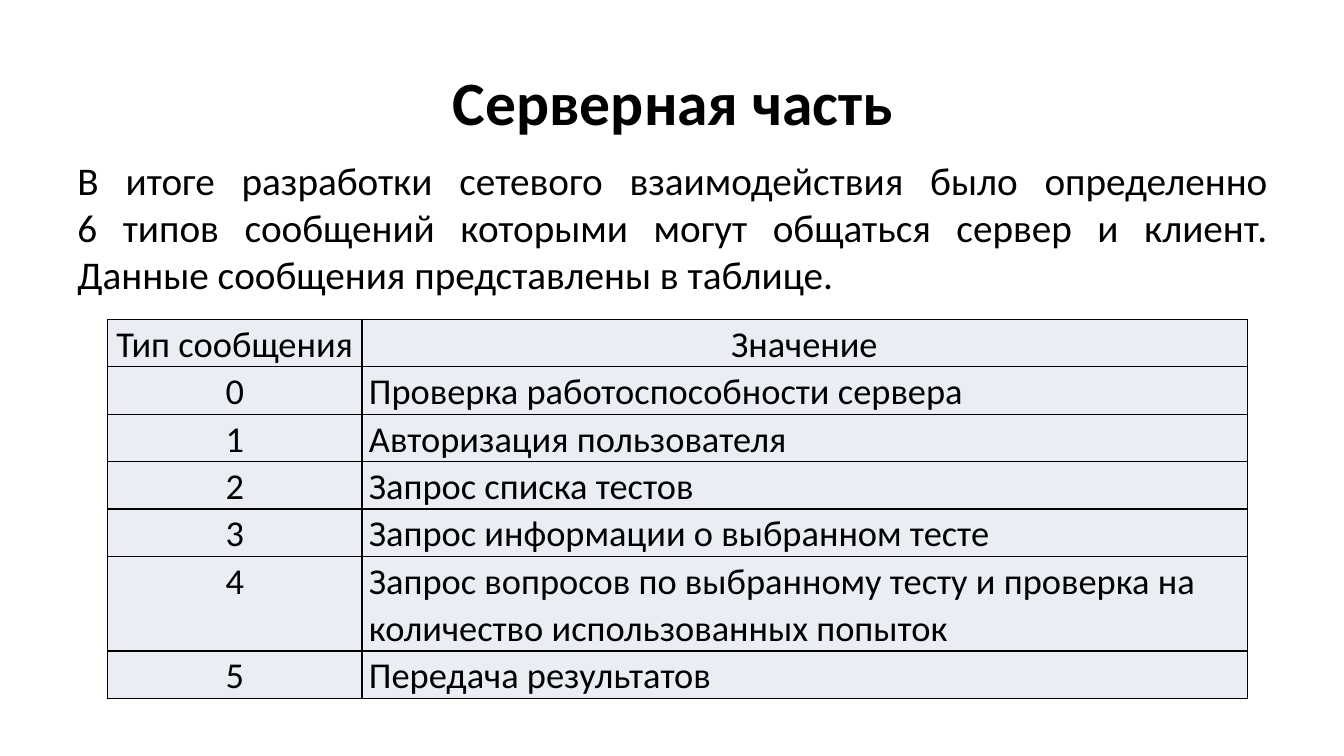
from lxml import etree
from pptx import Presentation
from pptx.dml.color import RGBColor
from pptx.enum.text import MSO_ANCHOR, PP_ALIGN
from pptx.oxml.ns import qn
from pptx.util import Inches, Pt

LEFT, CENTER, JUSTIFY = PP_ALIGN.LEFT, PP_ALIGN.CENTER, PP_ALIGN.JUSTIFY
TOP, MIDDLE = MSO_ANCHOR.TOP, MSO_ANCHOR.MIDDLE

COLORS = {"text": "000000", "border": "000000", "cell": "E9EDF4"}
FONT = "Calibri"

TITLE = "Серверная часть"
INTRO = (
    "В итоге разработки сетевого взаимодействия было определенно\n"
    "6 типов сообщений которыми могут общаться сервер и клиент. "
    "Данные сообщения представлены в таблице."
)
HEADERS = ("Тип сообщения", "Значение")
MEANINGS = (
    "Проверка работоспособности сервера",
    "Авторизация пользователя",
    "Запрос списка тестов",
    "Запрос информации о выбранном тесте",
    "Запрос вопросов по выбранному тесту и проверка на "
    "количество использованных попыток",
    "Передача результатов",
)
COLUMN_WIDTHS = (2.52, 8.78)
ROW_HEIGHT = 0.47
TWO_LINE_ROW = 5


def set_attributes(target, values):
    for name, value in values.items():
        setattr(target, name, value)


def write_text(text_frame, text, size, alignment, bold=False):
    paragraph = text_frame.paragraphs[0]
    paragraph.text = text
    paragraph.alignment = alignment
    for run in paragraph.runs:
        set_attributes(run.font, {"name": FONT, "size": Pt(size), "bold": bold})
        run.font.color.rgb = RGBColor.from_string(COLORS["text"])
    return paragraph


def add_text(slide, box, text, size, alignment, anchor=TOP, bold=False):
    shape = slide.shapes.add_textbox(*(Inches(length) for length in box))
    set_attributes(shape.text_frame, {"word_wrap": True, "vertical_anchor": anchor})
    write_text(shape.text_frame, text, size, alignment, bold)


def add_borders(cell):
    """Draw a thin line on all four sides of the cell."""
    properties = cell._tc.get_or_add_tcPr()
    for index, side in enumerate(("a:lnL", "a:lnR", "a:lnT", "a:lnB")):
        line = etree.Element(qn(side), w=str(Pt(1)))
        fill = etree.SubElement(line, qn("a:solidFill"))
        etree.SubElement(fill, qn("a:srgbClr"), val=COLORS["border"])
        properties.insert(index, line)


def fill_cell(cell, text, alignment):
    side, none = Inches(0.07), Inches(0)
    set_attributes(cell, {
        "margin_left": side, "margin_right": side,
        "margin_top": none, "margin_bottom": none,
    })
    cell.fill.solid()
    cell.fill.fore_color.rgb = RGBColor.from_string(COLORS["cell"])
    paragraph = write_text(cell.text_frame, text, 26, alignment)
    paragraph.line_spacing = 1.07
    add_borders(cell)


def add_message_table(slide):
    rows = [HEADERS] + [(str(code), text) for code, text in enumerate(MEANINGS)]
    table = slide.shapes.add_table(
        len(rows), len(HEADERS), Inches(1.07), Inches(3.17),
        Inches(sum(COLUMN_WIDTHS)), Inches(ROW_HEIGHT * (len(rows) + 1)),
    ).table
    set_attributes(table, {"first_row": False, "horz_banding": False})
    for column, width in zip(table.columns, COLUMN_WIDTHS):
        column.width = Inches(width)
    for row_index, texts in enumerate(rows):
        lines = 2 if row_index == TWO_LINE_ROW else 1
        table.rows[row_index].height = Inches(ROW_HEIGHT * lines)
        for column_index, text in enumerate(texts):
            alignment = LEFT if row_index and column_index else CENTER
            fill_cell(table.cell(row_index, column_index), text, alignment)


def main():
    presentation = Presentation()
    presentation.slide_width = Inches(13.33)
    presentation.slide_height = Inches(7.5)
    slide = presentation.slides.add_slide(presentation.slide_layouts[6])
    add_text(slide, (1.38, 0.4, 10.6, 1.2), TITLE, 44, CENTER, MIDDLE, bold=True)
    add_text(slide, (0.67, 1.5, 12, 5.2), INTRO, 28, JUSTIFY)
    add_message_table(slide)
    presentation.save("out.pptx")


if __name__ == "__main__":
    main()
